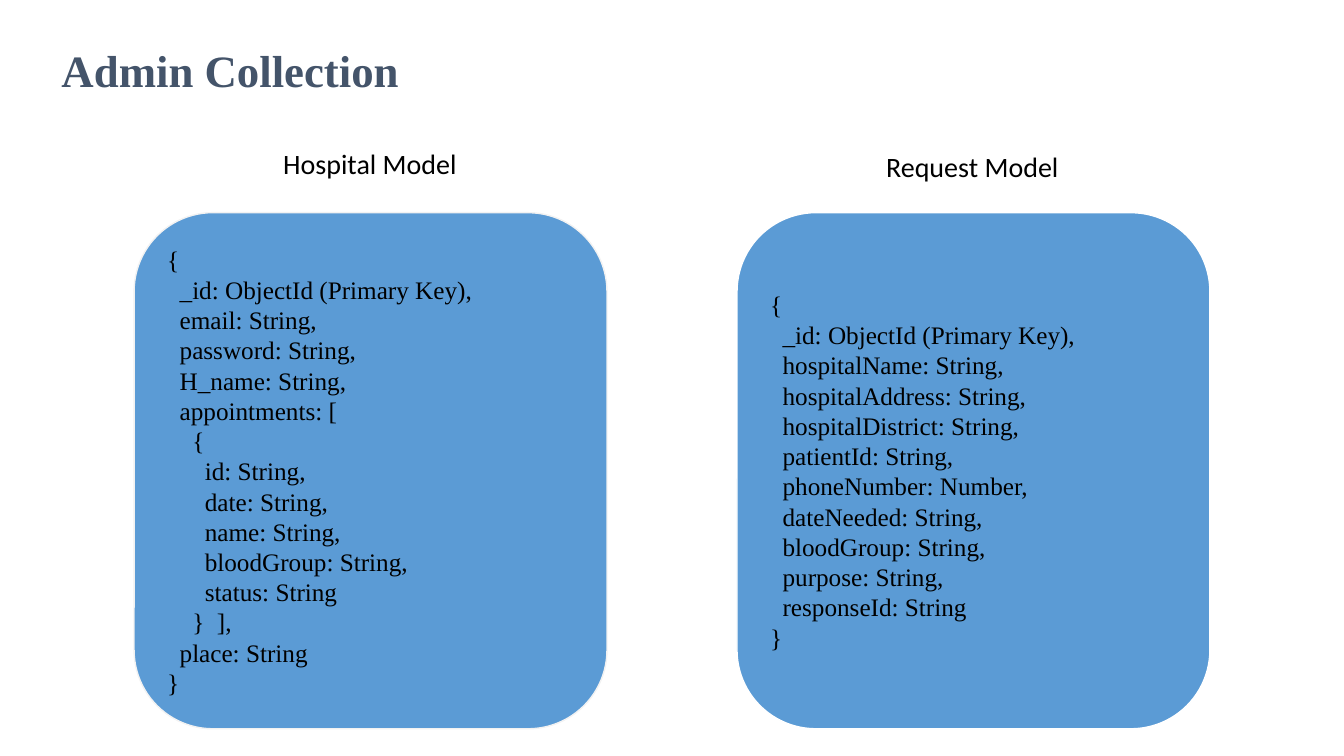
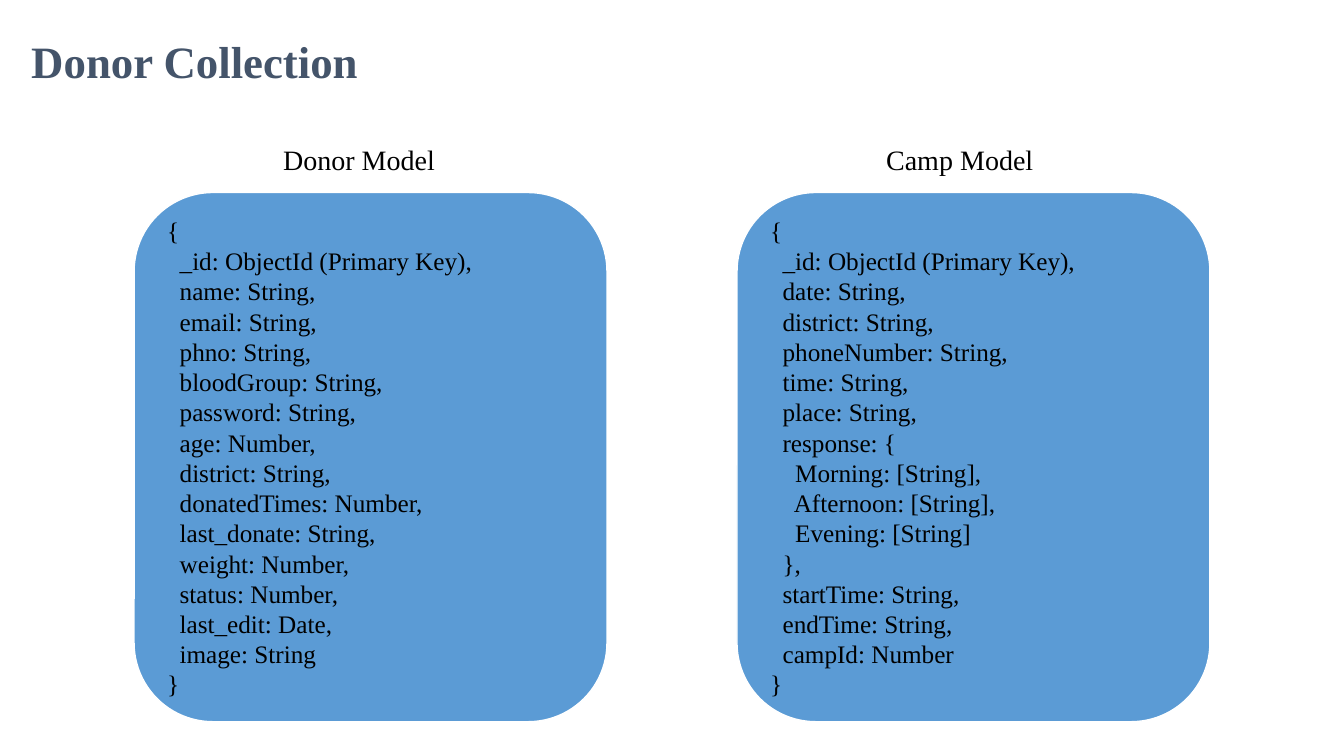
from pptx import Presentation
from pptx.dml.color import RGBColor
from pptx.enum.shapes import MSO_SHAPE
from pptx.enum.text import MSO_ANCHOR, MSO_AUTO_SIZE, PP_ALIGN
from pptx.util import Inches, Pt

SERIF, SANS = "Times New Roman", "Calibri"
BLACK, SLATE, BLUE, WHITE, PALE = "000000", "44546A", "5B9BD5", "FFFFFF", "F2F2F2"

CARD_LEFTS = (1.33, 7.31)
CARD_WIDTH = 4.69
LABEL_LEFTS = (2.71, 8.69)
LABEL_SIZE = (1.94, 0.44)
TITLE_SIZE = (9.57, 1.45)

HOSPITAL = """{
  _id: ObjectId (Primary Key),
  email: String,
  password: String,
  H_name: String,
  appointments: [
    {
      id: String,
      date: String,
      name: String,
      bloodGroup: String,
      status: String
    }  ],
  place: String
}"""

REQUEST = """{
  _id: ObjectId (Primary Key),
  hospitalName: String,
  hospitalAddress: String,
  hospitalDistrict: String,
  patientId: String,
  phoneNumber: Number,
  dateNeeded: String,
  bloodGroup: String,
  purpose: String,
  responseId: String
}"""

DONOR = """{
  _id: ObjectId (Primary Key),
  name: String,
  email: String,
  phno: String,
  bloodGroup: String,
  password: String,
  age: Number,
  district: String,
  donatedTimes: Number,
  last_donate: String,
  weight: Number,
  status: Number,
  last_edit: Date,
  image: String
}"""

CAMP = """{
  _id: ObjectId (Primary Key),
  date: String,
  district: String,
  phoneNumber: String,
  time: String,
  place: String,
  response: {
    Morning: [String],
    Afternoon: [String],
    Evening: [String]
  },
  startTime: String,
  endTime: String,
  campId: Number
}"""

# Each model: label, top of the label, outline colour, schema
COLLECTIONS = [
    {"title": "Admin Collection", "title_at": (0.51, 0), "label_font": SANS,
     "card_top": 2.11, "card_height": 5.12,
     "models": [("Hospital Model", 1.4, PALE, HOSPITAL),
                ("Request Model", 1.43, WHITE, REQUEST)]},
    {"title": "Donor Collection", "title_at": (0.21, -0.09), "label_font": SERIF,
     "card_top": 1.91, "card_height": 5.25,
     "models": [("Donor Model", 1.36, WHITE, DONOR),
                ("Camp Model", 1.36, WHITE, CAMP)]},
]


def rgb(value):
    return RGBColor.from_string(value)


def inches(*lengths):
    return [Inches(length) for length in lengths]


def write(frame, text, font, size, color=BLACK, bold=False, spacing=None):
    """Fill a text frame with one left-aligned paragraph per line of text."""
    frame.word_wrap = True
    frame.text = text
    for paragraph in frame.paragraphs:
        paragraph.alignment = PP_ALIGN.LEFT
        paragraph.line_spacing = spacing
        paragraph.font.name = font
        paragraph.font.size = Pt(size)
        paragraph.font.bold = bold
        paragraph.font.color.rgb = rgb(color)


def add_title(slide, text, position):
    title = slide.shapes.title
    title.left, title.top, title.width, title.height = inches(*position, *TITLE_SIZE)
    write(title.text_frame, text, SERIF, 32, SLATE, bold=True, spacing=0.9)
    title.text_frame.auto_size = MSO_AUTO_SIZE.NONE
    title.text_frame.vertical_anchor = MSO_ANCHOR.MIDDLE


def add_card(slide, box, outline, schema):
    card = slide.shapes.add_shape(MSO_SHAPE.ROUNDED_RECTANGLE, *inches(*box))
    card.shadow.inherit = False
    card.fill.solid()
    card.fill.fore_color.rgb = rgb(BLUE)
    card.line.color.rgb = rgb(outline)
    card.line.width = Pt(1)
    card.text_frame.vertical_anchor = MSO_ANCHOR.MIDDLE
    write(card.text_frame, schema, SERIF, 18)


def add_label(slide, box, text, font):
    label = slide.shapes.add_textbox(*inches(*box))
    write(label.text_frame, text, font, 20)
    label.text_frame.auto_size = MSO_AUTO_SIZE.SHAPE_TO_FIT_TEXT


def add_collection(presentation, collection):
    slide = presentation.slides.add_slide(presentation.slide_layouts.get_by_name("Title Only"))
    add_title(slide, collection["title"], collection["title_at"])
    columns = zip(CARD_LEFTS, LABEL_LEFTS, collection["models"])
    for card_left, label_left, (name, label_top, outline, schema) in columns:
        card_box = (card_left, collection["card_top"], CARD_WIDTH, collection["card_height"])
        add_card(slide, card_box, outline, schema)
        add_label(slide, (label_left, label_top, *LABEL_SIZE), name, collection["label_font"])


def main():
    presentation = Presentation()
    presentation.slide_width, presentation.slide_height = inches(13.33, 7.5)
    for collection in COLLECTIONS:
        add_collection(presentation, collection)
    presentation.save("out.pptx")


if __name__ == "__main__":
    main()
